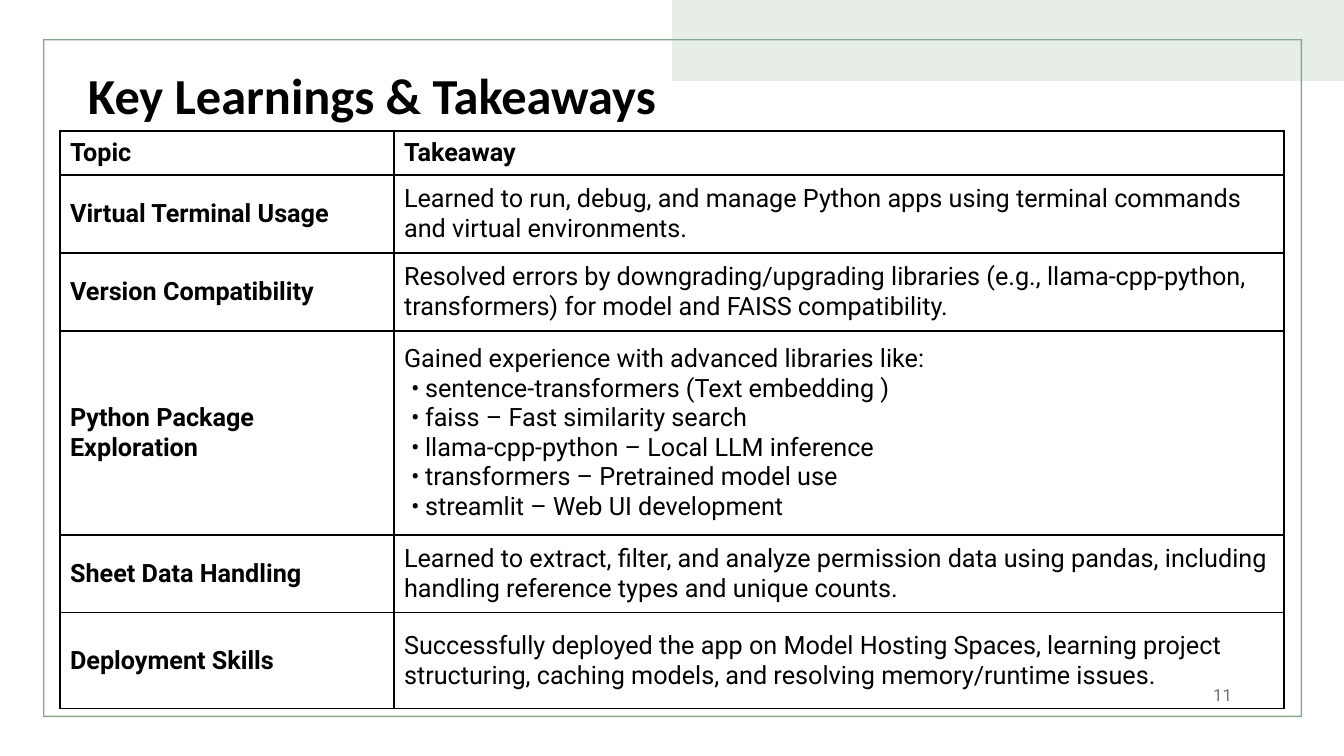
from lxml.etree import SubElement, fromstring
from pptx import Presentation
from pptx.dml.color import RGBColor
from pptx.enum.shapes import MSO_SHAPE as Shape
from pptx.enum.text import MSO_ANCHOR as Anchor, PP_ALIGN as Align
from pptx.oxml.ns import nsdecls, qn
from pptx.util import Pt

TITLE = "Key Learnings & Takeaways"
PAGE_NUMBER = "11"
HEADER = ("Topic", "Takeaway")
# Each row: topic, takeaway, bulleted items, height in px
LEARNINGS = [
    ("Virtual Terminal Usage",
     "Learned to run, debug, and manage Python apps using terminal commands "
     "and virtual environments.", [], 78),
    ("Version Compatibility",
     "Resolved errors by downgrading/upgrading libraries (e.g., llama-cpp-python, "
     "transformers) for model and FAISS compatibility.", [], 78),
    ("Python Package Exploration",
     "Gained experience with advanced libraries like:",
     ["sentence-transformers (Text embedding )",
      "faiss – Fast similarity search",
      "llama-cpp-python – Local LLM inference",
      "transformers – Pretrained model use",
      "streamlit – Web UI development"], 204),
    ("Sheet Data Handling",
     "Learned to extract, filter, and analyze permission data using pandas, including "
     "handling reference types and unique counts.", [], 78),
    ("Deployment Skills",
     "Successfully deployed the app on Model Hosting Spaces, learning project "
     "structuring, caching models, and resolving memory/runtime issues.", [], 96),
]

BLACK = RGBColor(0x00, 0x00, 0x00)
GRAY = RGBColor(0x76, 0x71, 0x71)
SAGE = RGBColor(0x88, 0xA8, 0x8E)
PALE_SAGE = RGBColor(0xE7, 0xEE, 0xE8)

PAGE_WIDTH, PAGE_HEIGHT = 1344, 756
HEADER_HEIGHT = 44
COLUMN_WIDTHS = (334, 890)
TABLE_LEFT, TABLE_TOP = 60, 131
BULLET_TEXT, BULLET_HANG = 21, 14


def px(length):
    """Turn px into EMU at 100.8 px to the inch."""
    return round(length * 914400 / 100.8)


def write(para, text, size=18, font="Roboto", color=BLACK, bold=False, align=None):
    span = para.add_run()
    span.text = text
    span.font.size = Pt(size)
    span.font.name = font
    span.font.color.rgb = color
    span.font.bold = bold
    if align is not None:
        para.alignment = align


def add_bullet(para):
    props = para._p.get_or_add_pPr()
    props.set("marL", str(px(BULLET_TEXT)))
    props.set("indent", str(-px(BULLET_HANG)))
    SubElement(props, qn("a:buFont"), typeface="Roboto")
    SubElement(props, qn("a:buChar"), char="•")


def add_block(page, kind, left, top, width, height, color):
    block = page.shapes.add_shape(kind, px(left), px(top), px(width), px(height))
    block.shadow.inherit = False
    block.fill.solid()
    block.fill.fore_color.rgb = color
    block.line.fill.background()
    return block


def add_text(page, text, left, top, width, height, anchor=Anchor.TOP, **style):
    box = page.shapes.add_textbox(px(left), px(top), px(width), px(height))
    box.text_frame.word_wrap = True
    box.text_frame.vertical_anchor = anchor
    write(box.text_frame.paragraphs[0], text, **style)


def style_cell(cell):
    """Clear the fill, centre vertically and draw 1 pt black borders."""
    cell.vertical_anchor = Anchor.MIDDLE
    cell.fill.background()
    props = cell._tc.get_or_add_tcPr()
    for place, side in enumerate("LRTB"):
        props.insert(place, fromstring(
            f'<a:ln{side} {nsdecls("a")} w="{Pt(1)}"><a:solidFill>'
            f'<a:srgbClr val="{BLACK}"/></a:solidFill></a:ln{side}>'))


def add_learnings(page):
    rows = [(*HEADER, [], HEADER_HEIGHT), *LEARNINGS]
    heights = [row[-1] for row in rows]
    table = page.shapes.add_table(
        len(rows), len(COLUMN_WIDTHS), px(TABLE_LEFT), px(TABLE_TOP),
        px(sum(COLUMN_WIDTHS)), px(sum(heights))).table
    table.first_row = table.horz_banding = False
    for column, width in zip(table.columns, COLUMN_WIDTHS):
        column.width = px(width)
    for index, (topic, takeaway, items, height) in enumerate(rows):
        table.rows[index].height = px(height)
        topic_cell, takeaway_cell = table.rows[index].cells
        style_cell(topic_cell)
        style_cell(takeaway_cell)
        write(topic_cell.text_frame.paragraphs[0], topic, bold=True)
        write(takeaway_cell.text_frame.paragraphs[0], takeaway, bold=index == 0)
        for item in items:
            para = takeaway_cell.text_frame.add_paragraph()
            add_bullet(para)
            write(para, item)


def main():
    deck = Presentation()
    deck.slide_width, deck.slide_height = px(PAGE_WIDTH), px(PAGE_HEIGHT)
    page = deck.slides.add_slide(deck.slide_layouts[6])
    half = PAGE_WIDTH // 2
    add_block(page, Shape.RECTANGLE, half, 0, half, 81, PALE_SAGE)
    frame = add_block(page, Shape.FRAME, 43, 39, 1259, 678, SAGE)
    frame.adjustments[0] = 0.002
    add_text(page, PAGE_NUMBER, 940, 675, 302, 40, anchor=Anchor.MIDDLE,
             size=12, color=GRAY, align=Align.RIGHT)
    add_text(page, TITLE, 78, 59, 737, 72, size=36, font="Calibri", bold=True)
    add_learnings(page)
    deck.save("out.pptx")


if __name__ == "__main__":
    main()
